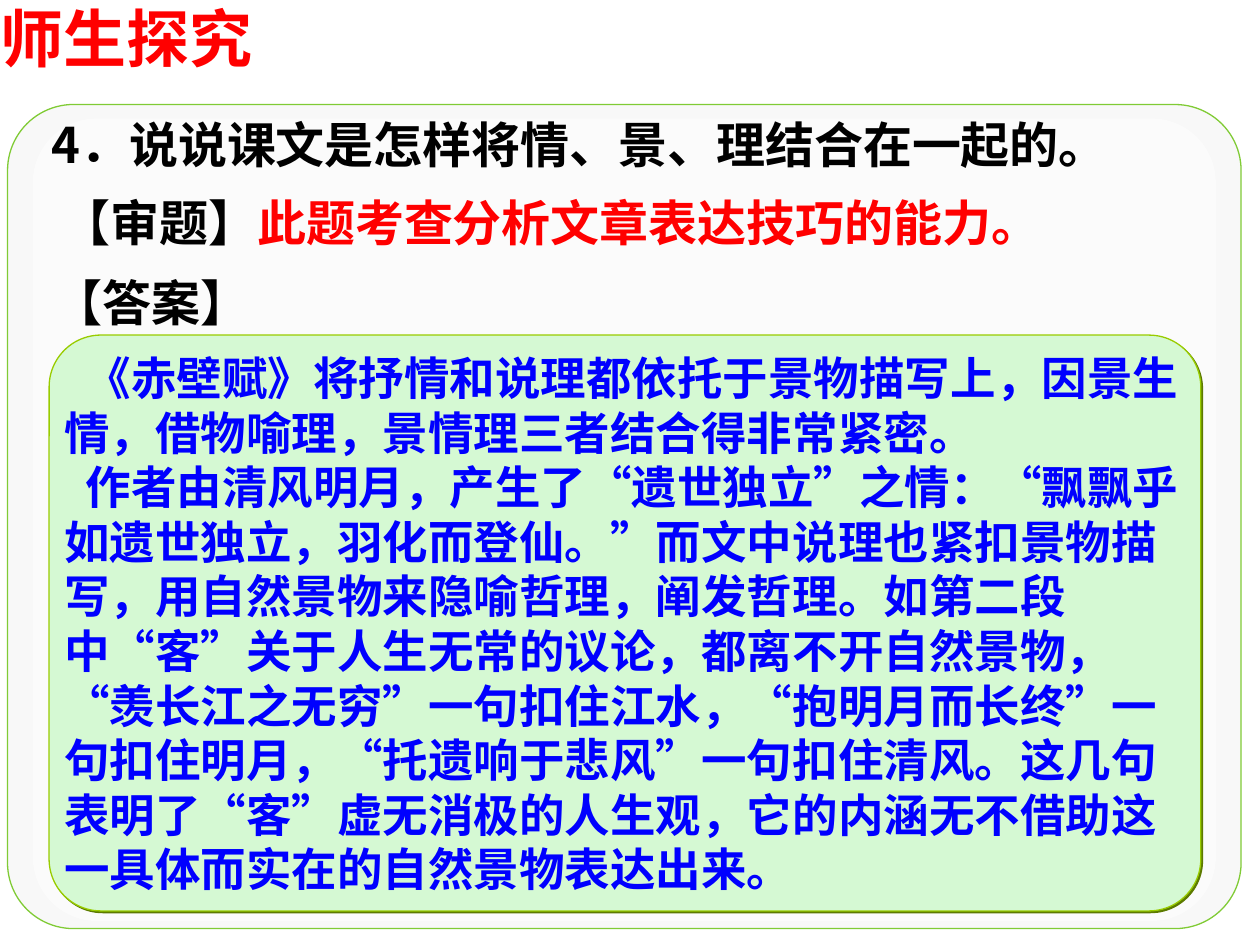
from lxml.etree import SubElement
from pptx import Presentation
from pptx.dml.color import RGBColor
from pptx.enum.lang import MSO_LANGUAGE_ID as LANG
from pptx.enum.shapes import MSO_SHAPE as SHAPE
from pptx.enum.text import MSO_ANCHOR as ANCHOR, PP_ALIGN as ALIGN
from pptx.oxml.ns import qn
from pptx.util import Inches, Pt

COLORS = {"red": "FF0000", "black": "000000", "blue": "0000FF", "white": "FFFFFF",
          "panel": "F8F8F8", "panel_line": "80CB35", "answer": "D5F9D3",
          "answer_line": "99CC00", "answer_shadow": "5C7A00", "title_shadow": "808080"}
CJK = "Noto Sans CJK SC"
W, H = 10, 7.5

TITLE = [[("师生探究", "red")]]
LINES = [
    ((0.31, 0.86, 9.3), True, [("4．说说课文是怎样将情、景、理结合在一起的。", "black")]),
    ((0.39, 1.48, 8.05), True, [("【审题】", "black"), ("此题考查分析文章表达技巧的能力。", "red")]),
    ((0.33, 2.11, 1.75), False, [("【答案】", "black")]),
]
LINE_H = 0.57
ANSWER = [
    [("《赤壁赋》将抒情和说理都依托于景物描写上，因景生情，借物喻理，景情理三者结合得非常紧密。", "blue")],
    [("作者由清风明月，产生了“遗世独立”之情：“飘飘乎如遗世独立，羽化而登仙。”"
      "而文中说理也紧扣景物描写，用自然景物来隐喻哲理，阐发哲理。"
      "如第二段中“客”关于人生无常的议论，都离不开自然景物，“羡长江之无穷”一句扣住江水，"
      "“抱明月而长终”一句扣住明月，“托遗响于悲风”一句扣住清风。"
      "这几句表明了“客”虚无消极的人生观，它的内涵无不借助这一具体而实在的自然景物表达出来。", "blue")],
]


def rgb(name):
    return RGBColor.from_string(COLORS[name])


def add_shadow(props, color, dist):
    effects = SubElement(props, qn("a:effectLst"))
    shadow = SubElement(effects, qn("a:outerShdw"), dist=str(Pt(dist)), dir="2700000", algn="ctr", rotWithShape="0")
    SubElement(shadow, qn("a:srgbClr"), val=COLORS[color])


def add_panel(slide, box, adj, fill, line=None):
    sp = slide.shapes.add_shape(SHAPE.ROUNDED_RECTANGLE, *map(Inches, box))
    sp.adjustments[0] = adj
    sp.shadow.inherit = False
    sp.fill.solid()
    sp.fill.fore_color.rgb = rgb(fill)
    if line:
        sp.line.color.rgb = rgb(line)
        sp.line.width = Pt(0.75)
    else:
        sp.line.fill.background()
    return sp


def write(sp, paragraphs, size, font=CJK, margins=(0, 0), wrap=True, indent=0, shadow=None):
    tf = sp.text_frame
    tf.word_wrap = wrap
    tf.margin_left = tf.margin_right = Inches(margins[0])
    tf.margin_top = tf.margin_bottom = Inches(margins[1])
    for i, runs in enumerate(paragraphs):
        p = tf.add_paragraph() if i else tf.paragraphs[0]
        p.alignment = ALIGN.LEFT
        if indent:
            pPr = p._p.get_or_add_pPr()
            pPr.set("marL", "0")
            pPr.set("indent", str(Inches(indent)))
        for text, color in runs:
            r = p.add_run()
            r.text = text
            r.font.size, r.font.bold = Pt(size), True
            r.font.color.rgb = rgb(color)
            r.font.language_id = LANG.SIMPLIFIED_CHINESE
            rPr = r._r.get_or_add_rPr()
            if shadow:
                add_shadow(rPr, shadow, 1.5)
            r.font.name = font
            SubElement(rPr, qn("a:ea"), typeface=CJK)


def main():
    """Build the lesson slide with a question, its focus and the answer."""
    prs = Presentation()
    prs.slide_width, prs.slide_height = Inches(W), Inches(H)
    slide = prs.slides.add_slide(prs.slide_layouts[6])

    add_panel(slide, (0.06, 0.83, 9.79, 6.54), 0.08, "panel", "panel_line")
    inner = add_panel(slide, (0.26, 0.94, 9.39, 6.37), 0.08, "white")
    fill = inner._element.spPr.find(qn("a:solidFill"))
    SubElement(fill[0], qn("a:alpha"), val="50000")

    title = slide.shapes.add_textbox(0, 0, Inches(3.35), Inches(0.6))
    write(title, TITLE, 36, "Arial", shadow="title_shadow")

    answer = add_panel(slide, (0.39, 2.66, 9.14, 4.57), 0.09, "answer", "answer_line")
    spPr = answer._element.spPr
    spPr.remove(spPr.find(qn("a:effectLst")))
    add_shadow(spPr, "answer_shadow", 1.4)
    answer.text_frame.vertical_anchor = ANCHOR.MIDDLE
    write(answer, ANSWER, 26, indent=0.17)

    for (x, y, w), wrap, runs in LINES:
        sp = slide.shapes.add_textbox(*map(Inches, (x, y, w, LINE_H)))
        write(sp, [runs], 28, margins=(0.1, 0.05), wrap=wrap)

    prs.save("out.pptx")


if __name__ == "__main__":
    main()
